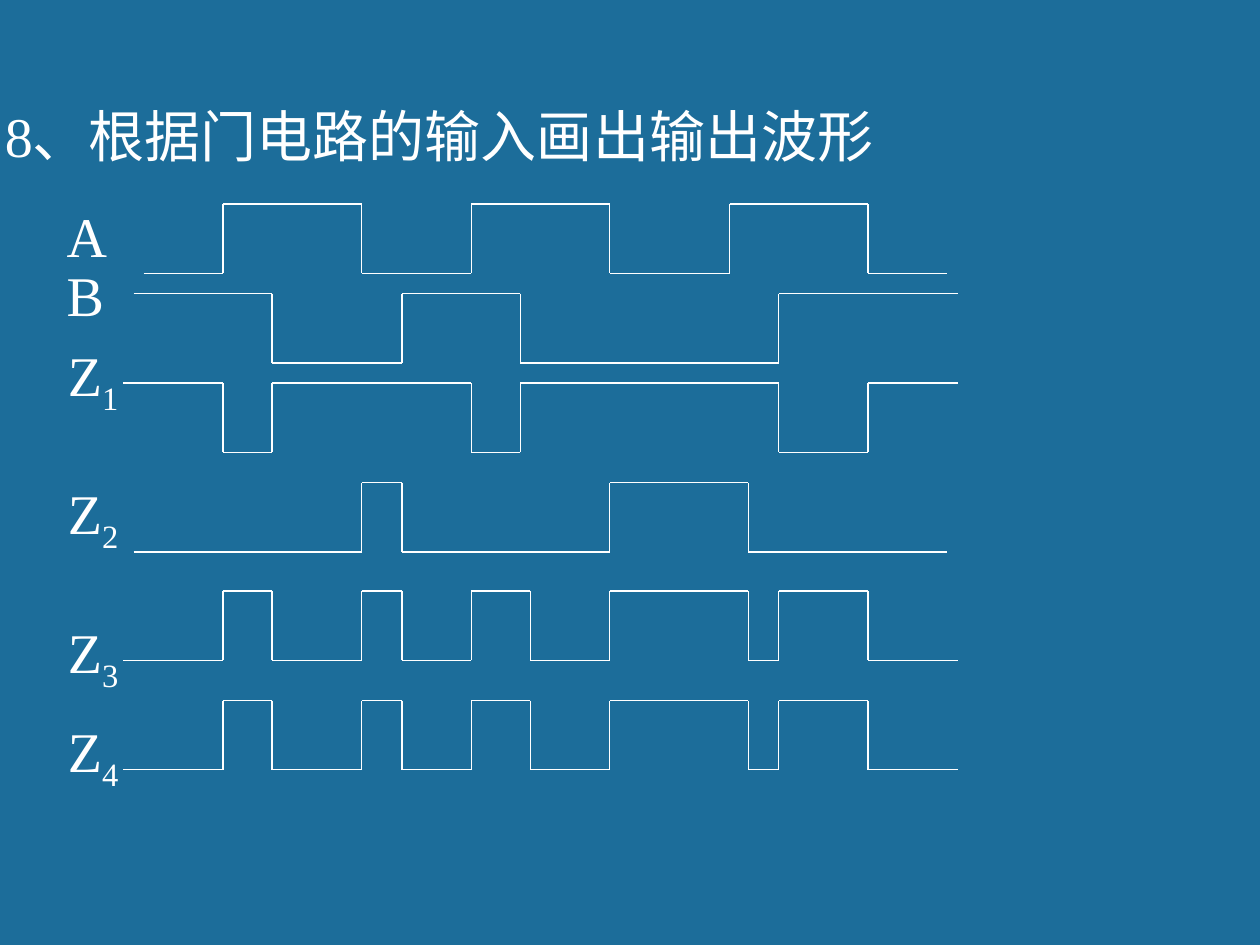
"""Build a slide of gate input and output waveforms."""
from lxml import etree
from pptx import Presentation
from pptx.dml.color import RGBColor
from pptx.enum.shapes import MSO_CONNECTOR
from pptx.enum.text import MSO_AUTO_SIZE
from pptx.oxml.ns import qn
from pptx.util import Inches, Pt

STRAIGHT = MSO_CONNECTOR.STRAIGHT
FIT_SHAPE = MSO_AUTO_SIZE.SHAPE_TO_FIT_TEXT

TITLE = {"text": "8、根据门电路的输入画出输出波形", "box": (-0.06, 0.76, 7.2, 0.64)}
Z3_TIMES = (0.98, 1.77, 2.16, 2.87, 3.19, 3.74, 4.21, 4.84, 5.94, 6.18, 6.89, 7.6)
SIGNALS = [
    {"name": "A", "subscript": "", "label": (0.43, 1.55, 0.52, 0.64),
     "top": 1.62, "starts_high": False,
     "times": (1.14, 1.77, 2.87, 3.74, 4.84, 5.79, 6.89, 7.52)},
    {"name": "B", "subscript": "", "label": (0.43, 2.02, 0.49, 0.64),
     "top": 2.33, "starts_high": True,
     "times": (1.06, 2.16, 3.19, 4.13, 6.18, 7.6)},
    {"name": "Z", "subscript": "1", "label": (0.44, 2.65, 0.6, 0.71),
     "top": 3.04, "starts_high": True,
     "times": (0.98, 1.77, 2.16, 3.74, 4.13, 6.18, 6.89, 7.6)},
    {"name": "Z", "subscript": "2", "label": (0.44, 3.75, 0.6, 0.71),
     "top": 3.83, "starts_high": False,
     "times": (1.06, 2.87, 3.19, 4.84, 5.94, 7.52)},
    {"name": "Z", "subscript": "3", "label": (0.44, 4.85, 0.6, 0.71),
     "top": 4.69, "starts_high": False, "times": Z3_TIMES},
    {"name": "Z", "subscript": "4", "label": (0.44, 5.64, 0.6, 0.71),
     "top": 5.56, "starts_high": False, "times": Z3_TIMES},
]
SWING = 0.55
THEME = {
    "background": RGBColor(0x1C, 0x6D, 0x9A),
    "ink": RGBColor(0xFF, 0xFF, 0xFF),
    "font": {"name": "Times New Roman", "size": Pt(32)},
    "frame": {"word_wrap": False, "auto_size": FIT_SHAPE, "margin_right": 0},
    "line_width": Pt(0.75),
    "subscript_offset": "-25000",
}


def apply_format(target, values):
    for name, value in values.items():
        setattr(target, name, value)


def add_run(paragraph, text):
    run = paragraph.add_run()
    run.text = text
    apply_format(run.font, THEME["font"])
    run.font.color.rgb = THEME["ink"]
    return run


def add_text(shapes, box, text, subscript=""):
    frame = shapes.add_textbox(*map(Inches, box)).text_frame
    apply_format(frame, THEME["frame"])
    paragraph = frame.paragraphs[0]
    add_run(paragraph, text)
    if subscript:
        run = add_run(paragraph, subscript)
        run._r.get_or_add_rPr().set("baseline", THEME["subscript_offset"])


def add_line(shapes, start, end):
    connector = shapes.add_connector(STRAIGHT, *map(Inches, (*start, *end)))
    connector.line.color.rgb = THEME["ink"]
    connector.line.width = THEME["line_width"]
    etree.SubElement(connector._element.spPr, qn("a:effectLst"))


def waveform_points(signal):
    levels = (signal["top"] + SWING, signal["top"])
    high = signal["starts_high"]
    times = signal["times"]
    points = []
    for start, end in zip(times, times[1:]):
        points += [(start, levels[high]), (end, levels[high])]
        high = not high
    return points


def add_signal(slide, signal):
    shapes = slide.shapes
    if signal["subscript"]:
        shapes = shapes.add_group_shape().shapes
    points = waveform_points(signal)
    for start, end in zip(points, points[1:]):
        add_line(shapes, start, end)
    add_text(shapes, signal["label"], signal["name"], signal["subscript"])


def main():
    presentation = Presentation()
    presentation.slide_width = Inches(10)
    presentation.slide_height = Inches(7.5)
    slide = presentation.slides.add_slide(presentation.slide_layouts[6])
    slide.background.fill.solid()
    slide.background.fill.fore_color.rgb = THEME["background"]
    add_text(slide.shapes, TITLE["box"], TITLE["text"])
    for signal in SIGNALS:
        add_signal(slide, signal)
    presentation.save("out.pptx")


if __name__ == "__main__":
    main()
